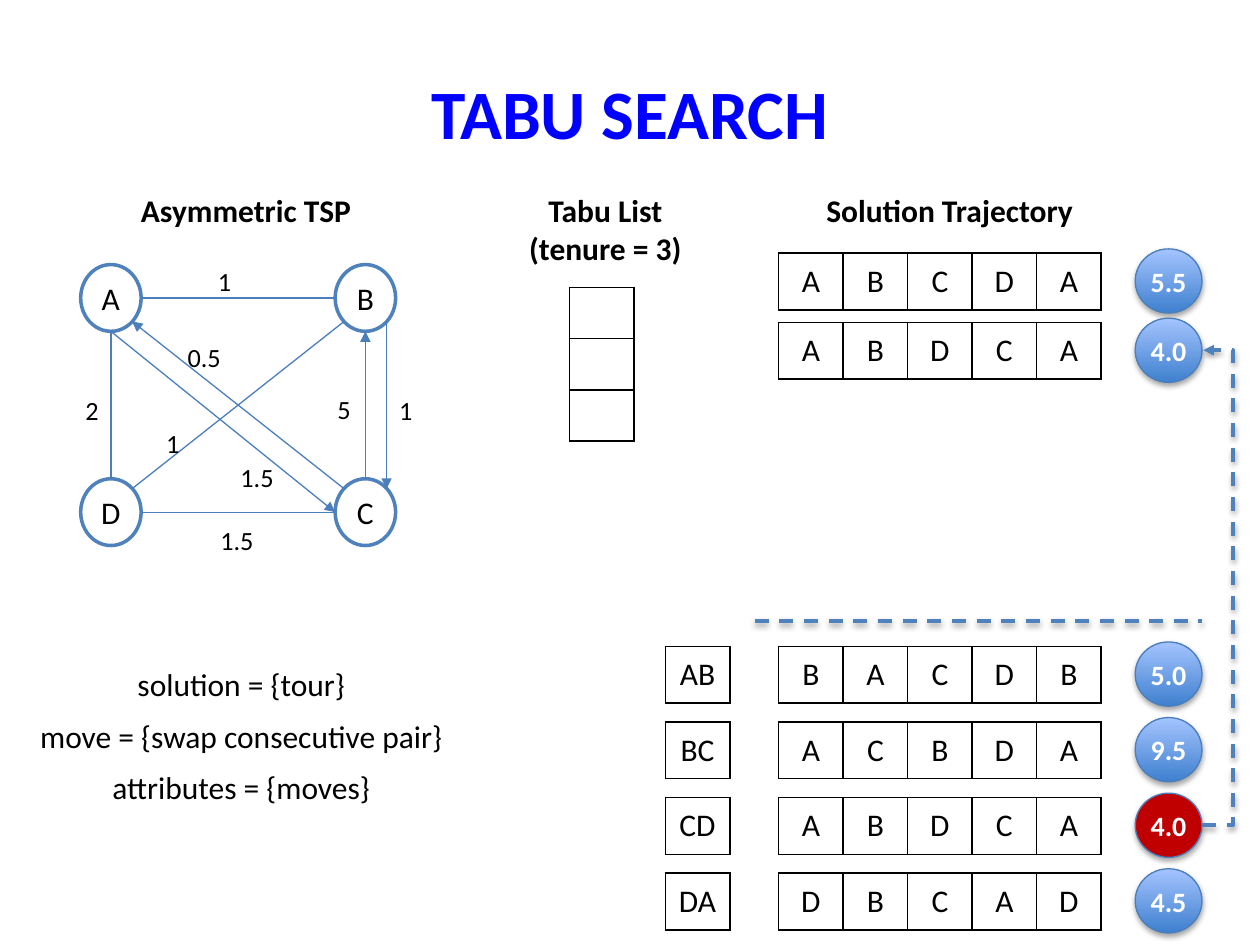
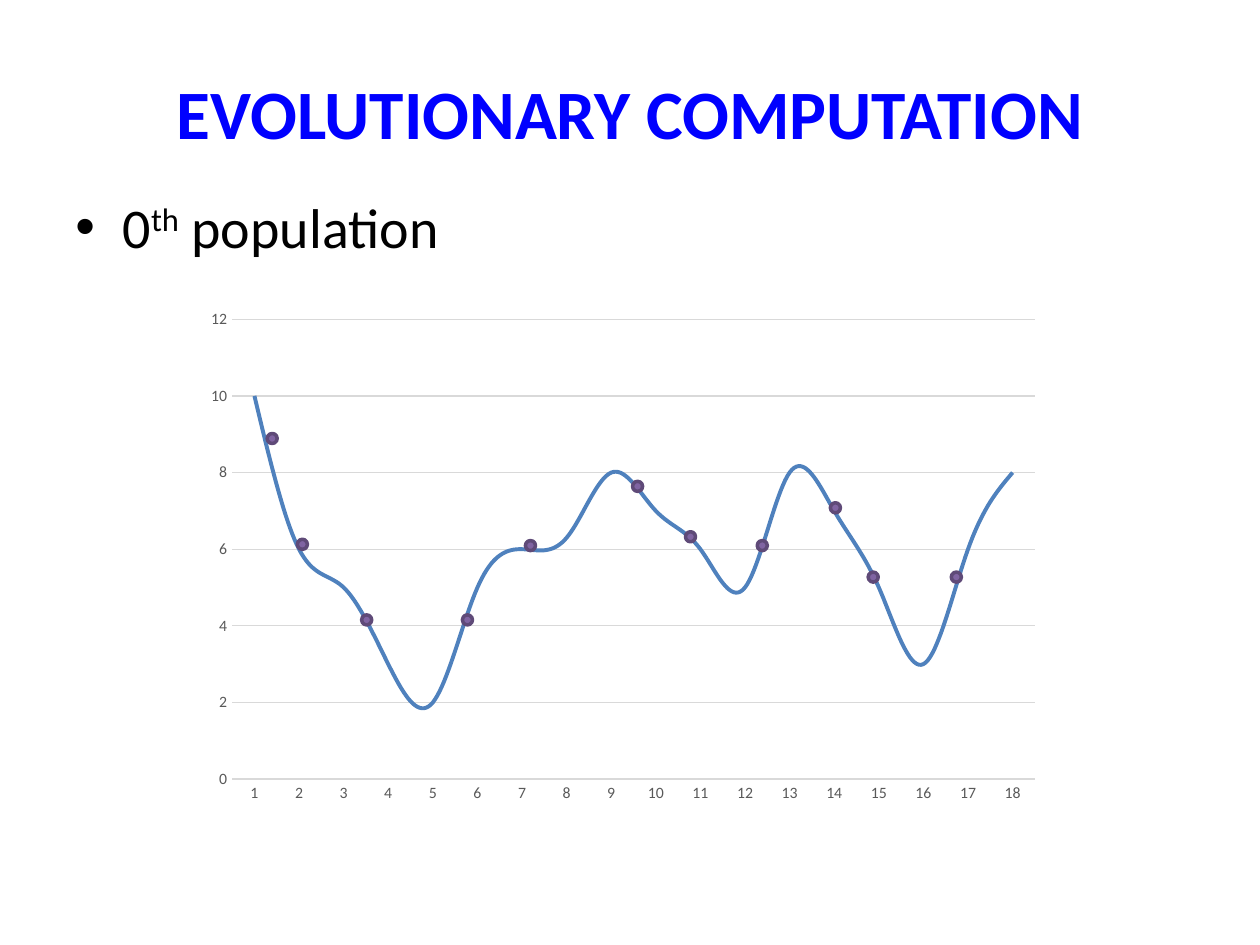
import dataclasses

import pptx
import pptx.util
import pptx.chart.data
import pptx.dml.color
import pptx.enum.chart
import pptx.enum.dml
import pptx.enum.shapes
import pptx.enum.text
import pptx.oxml
import pptx.oxml.ns

Pt = pptx.util.Pt
qn = pptx.oxml.ns.qn
RGB = pptx.dml.color.RGBColor.from_string
OVAL = pptx.enum.shapes.MSO_SHAPE.OVAL
LINK = pptx.enum.shapes.MSO_CONNECTOR
ALIGN = pptx.enum.text.PP_ALIGN
MID = pptx.enum.text.MSO_ANCHOR.MIDDLE


@dataclasses.dataclass(frozen=True)
class Theme:
    font: str = "Calibri"
    title: str = "0000FF"
    ink: str = "000000"
    paper: str = "FFFFFF"
    blue: str = "4F81BD"
    edge: str = "4B7EBC"
    low: str = "3F80CE"
    high: str = "A4C4FF"
    best: str = "C00000"
    dot: str = "8064A2"
    rim: str = "5F4A78"
    grid: str = "D9D9D9"
    label: str = "595959"
    head_pt: float = 39.6
    body_pt: int = 32
    text_pt: int = 18
    cost_pt: int = 16
    edge_pt: int = 15
    axis_pt: int = 9


T = Theme()
NS = pptx.oxml.ns.nsdecls("a")
SHADE = ('<a:outerShdw %s blurRad="40000" dist="%d" dir="5400000" rotWithShape="0">'
         '<a:srgbClr val="000000"><a:alpha val="%d"/></a:srgbClr></a:outerShdw>')

deck = pptx.Presentation()
deck.slide_width = pptx.util.Inches(10)
deck.slide_height = pptx.util.Inches(7.5)
UNIT = deck.slide_width / 100   # the slide is a grid of 100 columns and 75 rows


def grid(*cells):
    return [round(cell * UNIT) for cell in cells]


def write(frame, text, size, color=T.ink, bold=False, align=ALIGN.CENTER):
    frame.text = text
    for para in frame.paragraphs:
        para.alignment = align
        for run in para.runs:
            run.font.name = T.font
            run.font.size = Pt(size)
            run.font.bold = bold
            run.font.color.rgb = RGB(color)


# Titles of both slides
pages = []
for head in ("TABU SEARCH", "EVOLUTIONARY COMPUTATION"):
    page = deck.slides.add_slide(deck.slide_layouts[6])
    box = page.shapes.add_textbox(*grid(5, 5, 90, 7.8)).text_frame
    box.word_wrap = True
    box.vertical_anchor = MID
    write(box, head, T.head_pt, T.title, True)
    pages.append(page.shapes)
tabu, evo = pages

# Tabu search: headings and definitions
notes = [
    (10.2, 14.7, 20.2, 4, "Asymmetric TSP", True, ALIGN.LEFT),
    (64.6, 14.7, 22.7, 4, "Solution Trajectory", True, ALIGN.LEFT),
    (40.8, 14.7, 14.5, 7.1, "Tabu List\n(tenure = 3)", True, ALIGN.CENTER),
]
for row, text in enumerate(("solution = {tour}", "move = {swap consecutive pair}",
                            "attributes = {moves}")):
    notes.append((1, 52.3 + 4.1 * row, 36.3, 4, text, False, ALIGN.CENTER))
for x, y, wide, high, text, bold, align in notes:
    box = tabu.add_textbox(*grid(x, y, wide, high)).text_frame
    box.word_wrap = True
    write(box, text, T.text_pt, bold=bold, align=align)

# Tours with their moves and costs
CELL, TALL = 5.12, 4.5
TOUR, MOVE, COST = 61.8, 52.8, 90.1
tours = [(20.1, "", "ABCDA", "5.5"), (25.6, "", "ABDCA", "4.0")]
near = (("AB", "BACDB", "5.0"), ("BC", "ACBDA", "9.5"),
        ("CD", "ABDCA", "4.0"), ("DA", "DBCAD", "4.5"))
tours += [(51.3 + 6 * row, *item) for row, item in enumerate(near)]

tables = [(45.2, 22.8, 4.07, [[""]] * 3)]
for y, move, tour, cost in tours:
    tables.append((TOUR, y, TALL, [list(tour)]))
    if move:
        tables.append((MOVE, y, TALL, [[move]]))
    ball = tabu.add_shape(OVAL, *grid(COST, y - 0.35, 5.3, 5.1))
    if move == "CD":
        ball.fill.solid()
        ball.fill.fore_color.rgb = RGB(T.best)
    else:
        ball.fill.gradient()
        ball.fill.gradient_angle = 90
        for stop, color in zip(ball.fill.gradient_stops, (T.low, T.high)):
            stop.color.rgb = RGB(color)
    ball.line.color.rgb = RGB(T.edge)
    ball.line.width = Pt(0.75)
    ball.shadow.inherit = False
    glow = ball._element.spPr.find(qn("a:effectLst"))
    glow.append(pptx.oxml.parse_xml(SHADE % (NS, 23000, 35000)))
    frame = ball.text_frame
    frame.word_wrap = False
    frame.vertical_anchor = MID
    write(frame, cost, T.cost_pt, T.paper, True)

for x, y, tall, rows in tables:
    wide = len(rows[0])
    table = tabu.add_table(len(rows), wide,
                           *grid(x, y, CELL * wide, tall * len(rows))).table
    table.first_row = table.horz_banding = False
    for r, row in enumerate(rows):
        for c, text in enumerate(row):
            cell = table.cell(r, c)
            cell.margin_left = cell.margin_right = 0
            cell.vertical_anchor = MID
            write(cell.text_frame, text, T.text_pt)
            props = cell._tc.get_or_add_tcPr()
            for side in ("lnL", "lnR", "lnT", "lnB"):
                props.append(pptx.oxml.parse_xml(
                    f'<a:{side} {NS} w="12700"><a:solidFill><a:srgbClr val="{T.ink}"/>'
                    f'</a:solidFill></a:{side}>'))
            cell.fill.background()

# Graph: nodes on the corners, edges from site to site
WIDE, HIGH = 4.8, 5.3
nodes = {"A": (6.4, 21), "B": (26.6, 21), "D": (6.4, 38), "C": (26.6, 38)}
sites = {"n": (0.5, 0), "s": (0.5, 1), "w": (0, 0.5), "e": (1, 0.5),
         "nw": (0.15, 0.15), "ne": (0.85, 0.15), "sw": (0.15, 0.85), "se": (0.85, 0.85)}
for name, (x, y) in nodes.items():
    node = tabu.add_shape(OVAL, *grid(x, y, WIDE, HIGH))
    node.shadow.inherit = False
    node.fill.solid()
    node.fill.fore_color.rgb = RGB(T.paper)
    node.line.color.rgb = RGB(T.blue)
    node.line.width = Pt(2)
    node.text_frame.vertical_anchor = MID
    node.text_frame.word_wrap = False
    write(node.text_frame, name, T.text_pt)

# Each line: kind, ends, arrow, dashed
lines = [(LINK.STRAIGHT, (59.9, 49.3, 95.4, 49.3), False, True),
         (LINK.ELBOW, (95.4, 65.5, 95.5, 27.8), True, True)]
for start, out, stop, into, arrow in (
        ("A", "s", "C", "w", True), ("C", "nw", "A", "se", True),
        ("A", "s", "D", "n", False), ("D", "e", "C", "w", False),
        ("B", "sw", "D", "ne", False), ("A", "e", "B", "w", False),
        ("B", "se", "C", "ne", True), ("C", "n", "B", "s", True)):
    ends = []
    for name, site in ((start, out), (stop, into)):
        ends += [nodes[name][0] + WIDE * sites[site][0],
                 nodes[name][1] + HIGH * sites[site][1]]
    lines.append((LINK.STRAIGHT, ends, arrow, False))

for kind, ends, arrow, dashed in lines:
    link = tabu.add_connector(kind, *grid(*ends))
    link.line.color.rgb = RGB(T.blue if dashed else T.edge)
    link.line.width = Pt(2 if dashed else 0.75)
    props = link._element.spPr
    glow = pptx.oxml.parse_xml(f"<a:effectLst {NS}/>")
    if dashed:
        link.line.dash_style = pptx.enum.dml.MSO_LINE.DASH
        glow.append(pptx.oxml.parse_xml(SHADE % (NS, 20000, 38000)))
    if arrow:
        props.find(qn("a:ln")).append(
            pptx.oxml.parse_xml(f'<a:tailEnd {NS} type="triangle"/>'))
    if kind == LINK.ELBOW:   # the bend lies 25 times the width to the right
        props.find(".//" + qn("a:avLst")).append(
            pptx.oxml.parse_xml(f'<a:gd {NS} name="adj1" fmla="val 2500000"/>'))
    props.append(glow)

for x, y, text in ((16.3, 20.6, "1"), (12.2, 33.4, "1"), (30.7, 30.8, "1"),
                   (5.8, 30.8, "2"), (16.5, 41.1, "1.5"), (25.8, 30.7, "5"),
                   (13.9, 26.6, "0.5"), (18.1, 36.1, "1.5")):
    box = tabu.add_textbox(*grid(x, y, 2.9 if len(text) == 1 else 4.8, 3.5)).text_frame
    box.word_wrap = True
    write(box, text, T.edge_pt, align=ALIGN.LEFT)

# Evolutionary computation: bullet
box = evo.add_textbox(*grid(5, 14.8, 90, 8)).text_frame
box.word_wrap = True
para = box.paragraphs[0]
for text in ("0", "th", " population"):
    run = para.add_run()
    run.text = text
    run.font.name = T.font
    run.font.size = Pt(T.body_pt)
    run.font.color.rgb = RGB(T.ink)
    if text == "th":
        run._r.get_or_add_rPr().set("baseline", "30000")
para.space_before = Pt(0.2 * T.body_pt)
props = para._p.get_or_add_pPr()
props.set("marL", "342900")
props.set("indent", "-342900")
for mark in (f'<a:buFont {NS} typeface="Arial"/>', f'<a:buChar {NS} char="•"/>'):
    props.append(pptx.oxml.parse_xml(mark))

# Fitness curve
data = pptx.chart.data.CategoryChartData()
data.categories = [str(n) for n in range(1, 19)]
data.add_series("Series 1", (10, 6, 5, 3, 2, 5, 6, 6.3, 8, 7, 6, 5, 8, 7, 5, 3, 6, 8))
chart = evo.add_chart(pptx.enum.chart.XL_CHART_TYPE.LINE,
                      *grid(15.4, 23.8, 68.1, 40.7), data).chart
chart.has_legend = chart.has_title = False
chart.font.name = T.font
chart.font.size = Pt(10)
chart.plots[0].vary_by_categories = False
curve = chart.plots[0].series[0]
curve.smooth = True
curve.marker.style = pptx.enum.chart.XL_MARKER_STYLE.NONE
curve.format.line.color.rgb = RGB(T.blue)
curve.format.line.width = Pt(2.25)
for axis in (chart.category_axis, chart.value_axis):
    axis.major_tick_mark = axis.minor_tick_mark = pptx.enum.chart.XL_TICK_MARK.NONE
    font = axis.tick_labels.font
    font.name = T.font
    font.size = Pt(T.axis_pt)
    font.color.rgb = RGB(T.label)
axis.minimum_scale, axis.maximum_scale, axis.major_unit = 0, 12, 2
axis.format.line.fill.background()
for line in (axis.major_gridlines.format.line, chart.category_axis.format.line):
    line.color.rgb = RGB(T.grid)
    line.width = Pt(0.75)

# The population on the curve
for x, y in ((21.2, 34.4), (23.6, 42.8), (28.7, 48.8), (36.7, 48.8), (41.7, 42.9),
             (50.2, 38.2), (54.4, 42.2), (60.1, 42.9), (65.9, 39.9), (68.9, 45.4),
             (75.5, 45.4)):
    dot = evo.add_shape(OVAL, *grid(x, y, 0.8, 0.8))
    dot.shadow.inherit = False
    dot.fill.solid()
    dot.fill.fore_color.rgb = RGB(T.dot)
    dot.line.color.rgb = RGB(T.rim)
    dot.line.width = Pt(2)

deck.save("out.pptx")
